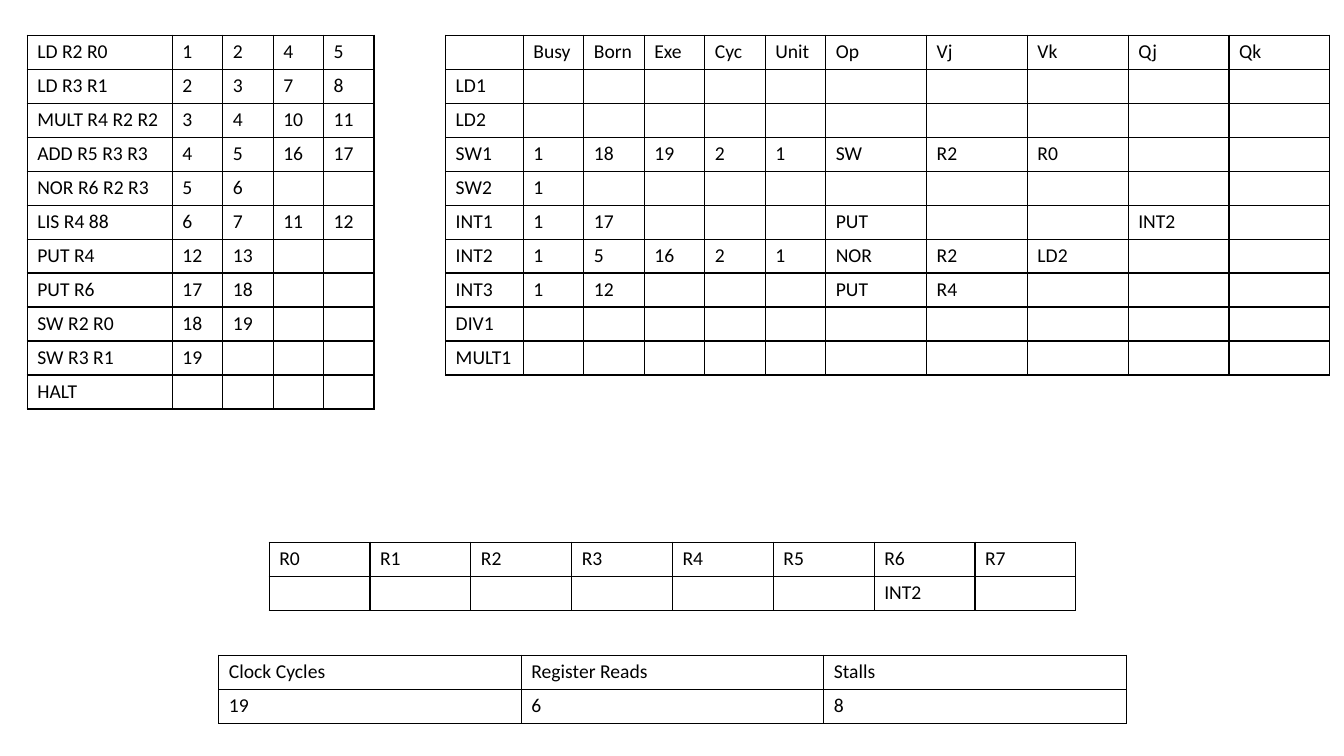
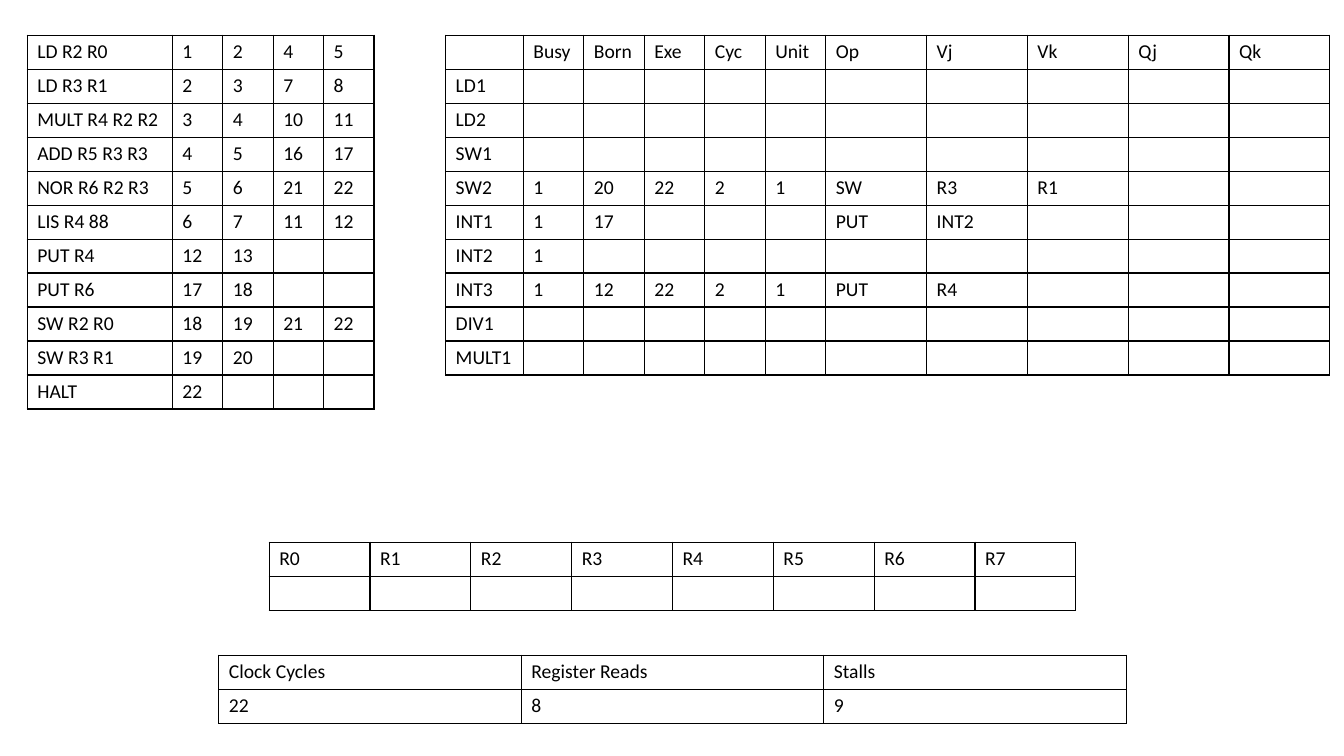
"""Build two Tomasulo scheduling slides, one for each clock cycle shown."""
from lxml import etree
from pptx import Presentation
from pptx.dml.color import RGBColor
from pptx.oxml.ns import qn
from pptx.util import Inches, Pt

COLORS = {"ink": "000000"}
FONT = "Calibri"
TEXT_SIZE = 14
BORDER_WIDTH = 1
ROW_HEIGHT = 0.3

INSTRUCTIONS = ["LD R2 R0", "LD R3 R1", "MULT R4 R2 R2", "ADD R5 R3 R3",
                "NOR R6 R2 R3", "LIS R4 88", "PUT R4", "PUT R6",
                "SW R2 R0", "SW R3 R1", "HALT"]
STATION_HEADER = ["", "Busy", "Born", "Exe", "Cyc", "Unit",
                  "Op", "Vj", "Vk", "Qj", "Qk"]
STATIONS = ["LD1", "LD2", "SW1", "SW2", "INT1", "INT2", "INT3", "DIV1", "MULT1"]
REGISTERS = [f"R{number}" for number in range(8)]
COUNTERS = ["Clock Cycles", "Register Reads", "Stalls"]

EARLY_TIMINGS = {
    "LD R2 R0": [1, 2, 4, 5],
    "LD R3 R1": [2, 3, 7, 8],
    "MULT R4 R2 R2": [3, 4, 10, 11],
    "ADD R5 R3 R3": [4, 5, 16, 17],
    "NOR R6 R2 R3": [5, 6],
    "LIS R4 88": [6, 7, 11, 12],
    "PUT R4": [12, 13],
    "PUT R6": [17, 18],
    "SW R2 R0": [18, 19],
    "SW R3 R1": [19],
}
LATE_TIMINGS = EARLY_TIMINGS | {
    "NOR R6 R2 R3": [5, 6, 21, 22],
    "SW R2 R0": [18, 19, 21, 22],
    "SW R3 R1": [19, 20],
    "HALT": [22],
}

SNAPSHOTS = [
    {
        "timings": EARLY_TIMINGS,
        "stations": {
            "SW1": [1, 18, 19, 2, 1, "SW", "R2", "R0"],
            "SW2": [1],
            "INT1": [1, 17, "", "", "", "PUT", "", "", "INT2"],
            "INT2": [1, 5, 16, 2, 1, "NOR", "R2", "LD2"],
            "INT3": [1, 12, "", "", "", "PUT", "R4"],
        },
        "registers": {"R6": "INT2"},
        "counters": [19, 6, 8],
    },
    {
        "timings": LATE_TIMINGS,
        "stations": {
            "SW2": [1, 20, 22, 2, 1, "SW", "R3", "R1"],
            "INT1": [1, 17, "", "", "", "PUT", "INT2"],
            "INT2": [1],
            "INT3": [1, 12, 22, 2, 1, "PUT", "R4"],
        },
        "registers": {},
        "counters": [22, 8, 9],
    },
]


def labelled_rows(labels, values):
    """Put each label in front of the values known for it."""
    return [[label, *values.get(label, [])] for label in labels]


def add_borders(cell):
    """Draw a solid line on all four sides of a cell."""
    properties = cell._tc.get_or_add_tcPr()
    for side in ("a:lnL", "a:lnR", "a:lnT", "a:lnB"):
        line = etree.SubElement(properties, qn(side), w=str(Pt(BORDER_WIDTH)))
        fill = etree.SubElement(line, qn("a:solidFill"))
        etree.SubElement(fill, qn("a:srgbClr"), val=COLORS["ink"])


def write_text(cell, text, *, size=TEXT_SIZE, font=FONT, color=COLORS["ink"]):
    """Write formatted text, keeping the text size in empty cells too."""
    para = cell.text_frame.paragraphs[0]
    if text:
        span = para.add_run()
        span.text = text
        span.font.size = Pt(size)
        span.font.name = font
        span.font.color.rgb = RGBColor.from_string(color)
    else:
        etree.SubElement(para._p, qn("a:endParaRPr"), sz=str(size * 100))


def add_grid(page, left, top, widths, rows):
    """Add a plain ruled table, leaving missing trailing values blank."""
    frame = page.shapes.add_table(
        len(rows), len(widths), Inches(left), Inches(top),
        Inches(sum(widths)), Inches(ROW_HEIGHT * len(rows)))
    table = frame.table
    table.first_row = False
    table.horz_banding = False
    for column, width in zip(table.columns, widths):
        column.width = Inches(width)
    for row, values in zip(table.rows, rows):
        row.height = Inches(ROW_HEIGHT)
        for index, cell in enumerate(row.cells):
            add_borders(cell)
            cell.fill.background()
            write_text(cell, str(values[index]) if index < len(values) else "")


def add_snapshot(deck, snapshot):
    """Add a page with the four tables of one clock cycle."""
    page = deck.slides.add_slide(deck.slide_layouts[6])
    add_grid(page, 0.27, 0.35, [1.44] + [0.5] * 4,
             labelled_rows(INSTRUCTIONS, snapshot["timings"]))
    add_grid(page, 4.42, 0.35, [0.77] + [0.6] * 5 + [1] * 5,
             [STATION_HEADER] + labelled_rows(STATIONS, snapshot["stations"]))
    owners = [snapshot["registers"].get(name, "") for name in REGISTERS]
    add_grid(page, 2.67, 5.38, [1] * 8, [REGISTERS, owners])
    add_grid(page, 2.17, 6.5, [3] * 3, [COUNTERS, snapshot["counters"]])


def main():
    """Build and save the deck."""
    deck = Presentation()
    deck.slide_width = Inches(13.33)
    deck.slide_height = Inches(7.5)
    for snapshot in SNAPSHOTS:
        add_snapshot(deck, snapshot)
    deck.save("out.pptx")


if __name__ == "__main__":
    main()
